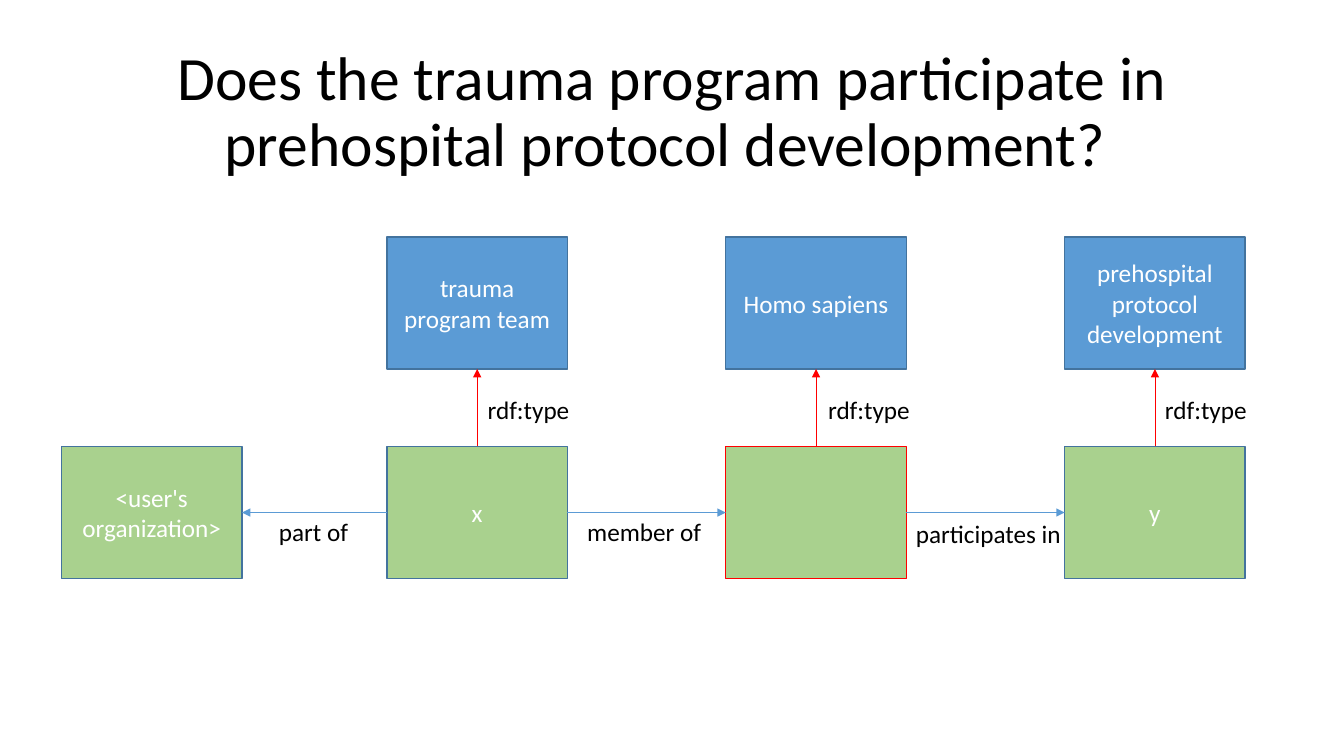
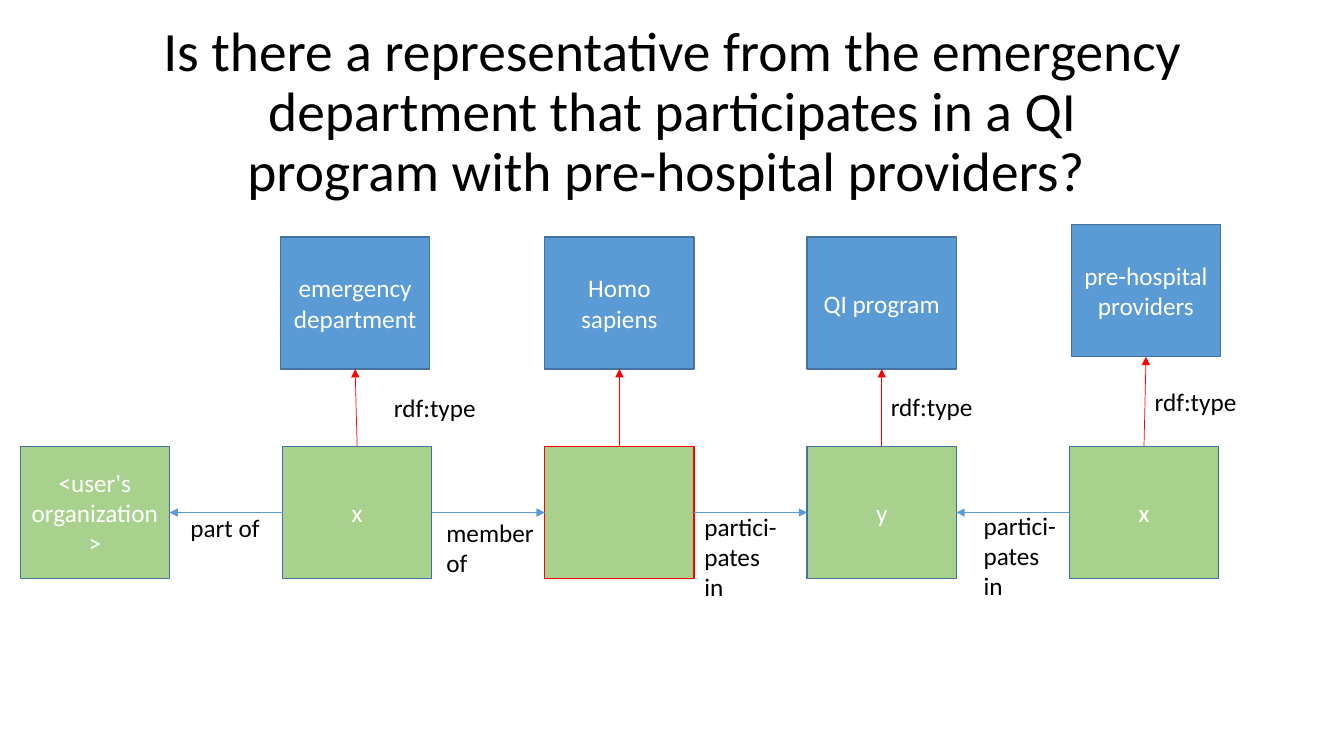
from lxml import etree
from pptx import Presentation
from pptx.dml.color import RGBColor
from pptx.enum import shapes, text
from pptx.oxml import ns
from pptx.util import Cm, Pt

FONT = "Calibri"
BLACK = RGBColor(0x00, 0x00, 0x00)
WHITE = RGBColor(0xFF, 0xFF, 0xFF)
BLUE = RGBColor(0x5B, 0x9B, 0xD5)
NAVY = RGBColor(0x43, 0x73, 0x9E)
GREEN = RGBColor(0xA9, 0xD1, 0x8E)
RED = RGBColor(0xFF, 0x00, 0x00)

BOX_HEIGHT = 3.33
CLASS_TOP = 5.97
INSTANCE_TOP = 11.25
LABEL_HEIGHT = 1.02
LINE_HEIGHT = 0.77
TOP, LEFT, BOTTOM, RIGHT = range(4)


def write(frame, words, size=18, color=BLACK, align=text.PP_ALIGN.LEFT,
          anchor=text.MSO_ANCHOR.TOP, spacing=None, wrap=True):
    frame.word_wrap = wrap
    frame.vertical_anchor = anchor
    for index, line in enumerate(words.split("\n")):
        para = frame.add_paragraph() if index else frame.paragraphs[0]
        para.text = line
        para.alignment = align
        para.line_spacing = spacing
        for span in para.runs:
            span.font.name = FONT
            span.font.size = Pt(size)
            span.font.color.rgb = color


def add_title(page, words, size):
    box = page.shapes.add_textbox(Cm(2.34), Cm(1.02), Cm(29.21), Cm(3.68))
    write(box.text_frame, words, size=size, align=text.PP_ALIGN.CENTER,
          anchor=text.MSO_ANCHOR.MIDDLE, spacing=0.9)


def add_box(page, words, left, top, width, fill, outline=NAVY):
    box = page.shapes.add_shape(shapes.MSO_SHAPE.RECTANGLE, Cm(left), Cm(top),
                                Cm(width), Cm(BOX_HEIGHT))
    box.shadow.inherit = False
    box.fill.solid()
    box.fill.fore_color.rgb = fill
    box.line.color.rgb = outline
    box.line.width = Pt(1)
    write(box.text_frame, words, color=WHITE, align=text.PP_ALIGN.CENTER,
          anchor=text.MSO_ANCHOR.MIDDLE)
    return box


def add_label(page, words, left, top, width, wrap):
    height = LABEL_HEIGHT + LINE_HEIGHT * words.count("\n")
    box = page.shapes.add_textbox(Cm(left), Cm(top), Cm(width), Cm(height))
    write(box.text_frame, words, wrap=wrap)
    box.text_frame.auto_size = text.MSO_AUTO_SIZE.SHAPE_TO_FIT_TEXT


def add_arrow(page, start, start_side, end, end_side, color):
    arrow = page.shapes.add_connector(shapes.MSO_CONNECTOR.STRAIGHT, 0, 0, 0, 0)
    arrow.begin_connect(start, start_side)
    arrow.end_connect(end, end_side)
    arrow.line.color.rgb = color
    arrow.line.width = Pt(0.5)
    etree.SubElement(arrow.line._get_or_add_ln(), ns.qn("a:tailEnd"), type="triangle")
    etree.SubElement(arrow._element.spPr, ns.qn("a:effectLst"))


def add_diagram(deck, title, title_size, width, instances, classes, links,
                labels, wrap):
    page = deck.slides.add_slide(deck.slide_layouts[6])
    add_title(page, title, title_size)
    row = [add_box(page, words, left, INSTANCE_TOP, width, GREEN,
                   NAVY if words else RED)
           for words, left in instances]
    for instance, (words, left, top) in zip(row[1:], classes):
        kind = add_box(page, words, left, top, width, BLUE)
        add_arrow(page, instance, TOP, kind, BOTTOM, RED)
    for start, end in links:
        sides = (RIGHT, LEFT) if start < end else (LEFT, RIGHT)
        add_arrow(page, row[start], sides[0], row[end], sides[1], BLUE)
    for label in labels:
        add_label(page, *label, wrap)


def main():
    deck = Presentation()
    deck.slide_width = Cm(33.87)
    deck.slide_height = Cm(19.05)
    organization = "<user's organization>"

    team, person, development = [9.75 + 8.54 * step for step in range(3)]
    add_diagram(
        deck,
        "Does the trauma program participate in prehospital protocol development? ",
        44, 4.55,
        instances=[(organization, 1.55), ("x", team), ("", person),
                   ("y", development)],
        classes=[("trauma program team", team, CLASS_TOP),
                 ("Homo sapiens", person, CLASS_TOP),
                 ("prehospital protocol development", development, CLASS_TOP)],
        links=[(1, 0), (1, 2), (2, 3)],
        labels=[("rdf:type", 12.04, 9.8, 2.59),
                ("rdf:type", 20.62, 9.8, 2.59),
                ("rdf:type", 29.11, 9.8, 2.59),
                ("part of", 6.78, 12.88, 2.29),
                ("member of", 14.55, 12.88, 3.43),
                ("participates in", 22.83, 12.93, 4.22)],
        wrap=False)

    user, department, person, program, provider = [
        0.51 + 6.61 * step for step in range(5)]
    participates = "partici-\npates\nin"
    add_diagram(
        deck,
        "Is there a representative from the emergency department that "
        "participates in a QI\vprogram with pre-hospital providers? ",
        39.6, 3.76,
        instances=[(organization, user), ("x", department), ("", person),
                   ("y", program), ("x", provider)],
        classes=[("emergency department", department - 0.05, CLASS_TOP),
                 ("Homo sapiens", person, CLASS_TOP),
                 ("QI program", program, CLASS_TOP),
                 ("pre-hospital providers", provider + 0.05, 5.66)],
        links=[(1, 0), (1, 2), (2, 3), (4, 3)],
        labels=[("rdf:type", 9.68, 9.75, 3.2),
                ("rdf:type", 22.2, 9.73, 2.9),
                ("rdf:type", 28.85, 9.6, 2.9),
                ("part of", 4.55, 12.78, 2.39),
                ("member\nof", 11, 12.9, 2.74),
                (participates, 17.5, 12.75, 4.14),
                (participates, 24.54, 12.73, 4.14)],
        wrap=True)

    deck.save("out.pptx")


main()
